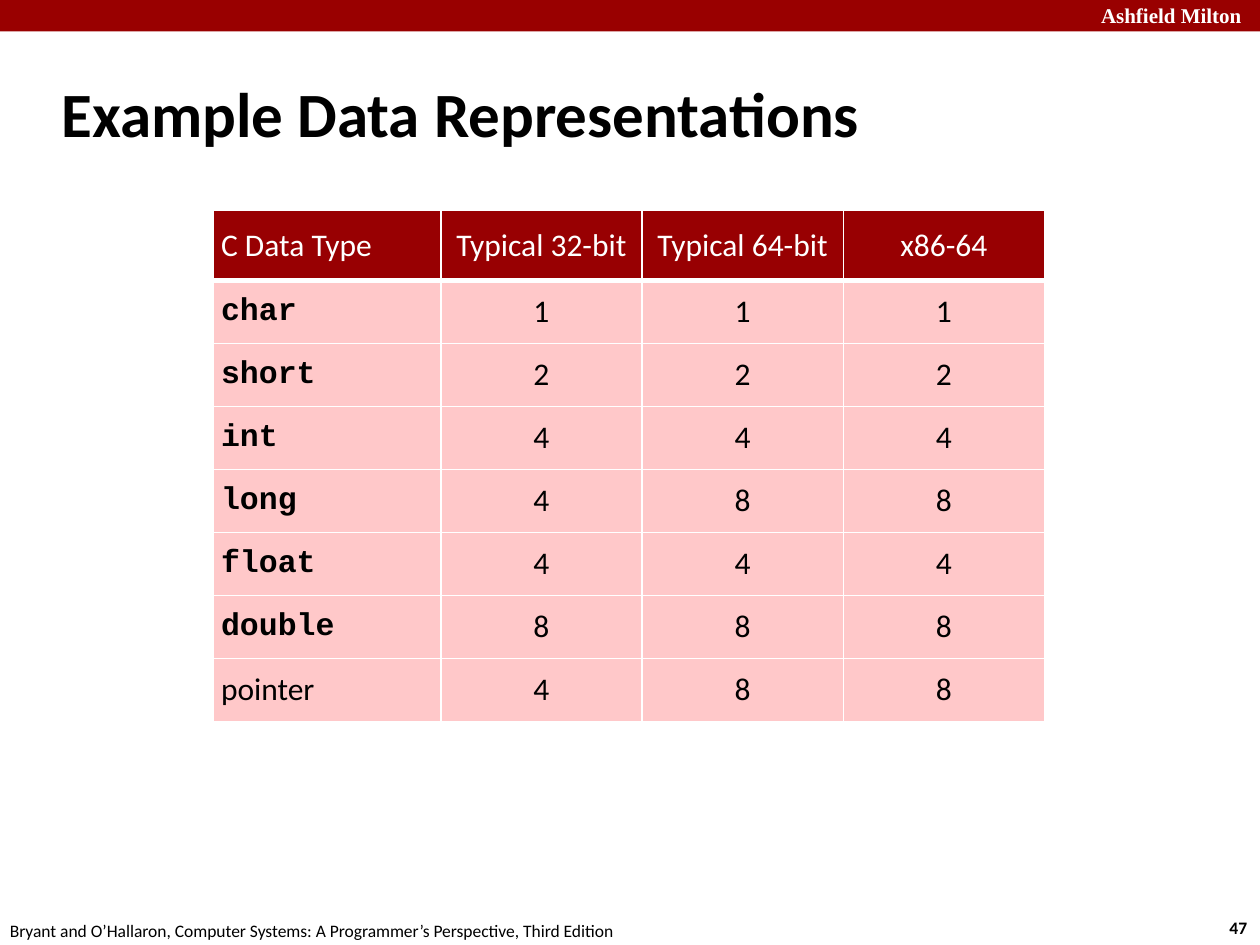
from lxml.etree import SubElement
from pptx import Presentation
from pptx.dml.color import RGBColor
from pptx.enum.shapes import MSO_SHAPE
from pptx.enum.text import MSO_ANCHOR, PP_ALIGN
from pptx.oxml.ns import qn
from pptx.util import Inches, Pt

SLIDE_WIDTH, SLIDE_HEIGHT = Inches(10), Inches(7.5)
BANNER_RED, HEADER_RED, BODY_PINK = "990000", "980002", "FFC8C9"
WHITE, BLACK = "FFFFFF", "000000"
HEADINGS = ("C Data Type", "Typical 32-bit", "Typical 64-bit", "x86-64")
TYPE_SIZES = (
    ("char", 1, 1, 1),
    ("short", 2, 2, 2),
    ("int", 4, 4, 4),
    ("long", 4, 8, 8),
    ("float", 4, 4, 4),
    ("double", 8, 8, 8),
    ("pointer", 4, 8, 8),
)


def across(percent):
    """Return a percentage of the slide width."""
    return round(SLIDE_WIDTH * percent / 100)


def down(percent):
    """Return a percentage of the slide height."""
    return round(SLIDE_HEIGHT * percent / 100)


def area(left, top, width, height):
    """Turn slide percentages into a position and size."""
    return across(left), down(top), across(width), down(height)


def paint(fill, color):
    """Apply a solid hex colour to a fill."""
    fill.solid()
    fill.fore_color.rgb = RGBColor.from_string(color)


def add_run(paragraph, text, size, color=BLACK, bold=False, font="Calibri"):
    """Append one styled run to a paragraph."""
    run = paragraph.add_run()
    run.text = text
    run.font.size = Pt(size)
    run.font.name = font
    run.font.bold = bold
    paint(run.font.fill, color)


def add_banner(slide):
    """Draw the band along the top edge."""
    banner = slide.shapes.add_shape(MSO_SHAPE.RECTANGLE, *area(0, 0, 100, 3.33))
    banner.shadow.inherit = False
    paint(banner.fill, BANNER_RED)
    banner.line.fill.background()


def add_label(slide, place, text, size, anchor=MSO_ANCHOR.TOP, **style):
    """Add a wrapped one-run text box."""
    frame = slide.shapes.add_textbox(*area(*place)).text_frame
    frame.word_wrap = True
    frame.vertical_anchor = anchor
    add_run(frame.paragraphs[0], text, size, **style)


def add_borders(cell, top, bottom):
    """Give a cell white edges, with its top and bottom widths in points."""
    properties = cell._tc.get_or_add_tcPr()
    for edge, width in (("lnL", 1), ("lnR", 1), ("lnT", top), ("lnB", bottom)):
        line = SubElement(properties, qn(f"a:{edge}"), w=str(Pt(width)))
        solid = SubElement(line, qn("a:solidFill"))
        SubElement(solid, qn("a:srgbClr"), val=WHITE)


def fill_cell(cell, row, column, text):
    """Style a cell by its role in the table and write its text."""
    is_header = row == 0
    is_keyword = not is_header and column == 0 and text != "pointer"
    add_borders(cell, top=3 if row == 1 else 1, bottom=3 if is_header else 1)
    paint(cell.fill, HEADER_RED if is_header else BODY_PINK)
    cell.vertical_anchor = MSO_ANCHOR.MIDDLE
    cell.margin_left = cell.margin_right = across(0.6)
    cell.margin_top = cell.margin_bottom = down(0.8)
    paragraph = cell.text_frame.paragraphs[0]
    paragraph.alignment = PP_ALIGN.CENTER if column else PP_ALIGN.LEFT
    add_run(paragraph, text, 18, color=WHITE if is_header else BLACK,
            bold=is_keyword, font="Courier New" if is_keyword else "Calibri")


def add_size_table(slide):
    """Add the table of byte sizes for each C type."""
    rows = (HEADINGS, *TYPE_SIZES)
    table = slide.shapes.add_table(
        len(rows), len(HEADINGS), *area(16.95, 22.27, 65.95, 54.09)).table
    for index, column in enumerate(table.columns):
        column.width = across(15.97 if index else 18.04)
    for index, row in enumerate(table.rows):
        row.height = down(6.67 if index else 7.4)
    for row, values in enumerate(rows):
        for column, value in enumerate(values):
            fill_cell(table.cell(row, column), row, column, str(value))


def main():
    """Build and save the slide."""
    deck = Presentation()
    deck.slide_width, deck.slide_height = SLIDE_WIDTH, SLIDE_HEIGHT
    slide = deck.slides.add_slide(deck.slide_layouts[6])
    add_banner(slide)
    add_label(slide, (86.4, -0.4, 14.3, 4), "Ashfield Milton", 12,
              color=WHITE, bold=True, font="Times New Roman")
    add_label(slide, (96.6, 96.4, 3.7, 3.6), "47", 10, bold=True)
    add_label(slide, (-0.2, 96.67, 50.8, 3.6),
              "Bryant and O’Hallaron, Computer Systems: "
              "A Programmer’s Perspective, Third Edition", 10)
    add_label(slide, (3.9, 6.3, 83, 11.07), "Example Data Representations", 36,
              anchor=MSO_ANCHOR.MIDDLE, bold=True)
    add_size_table(slide)
    deck.save("out.pptx")


if __name__ == "__main__":
    main()
